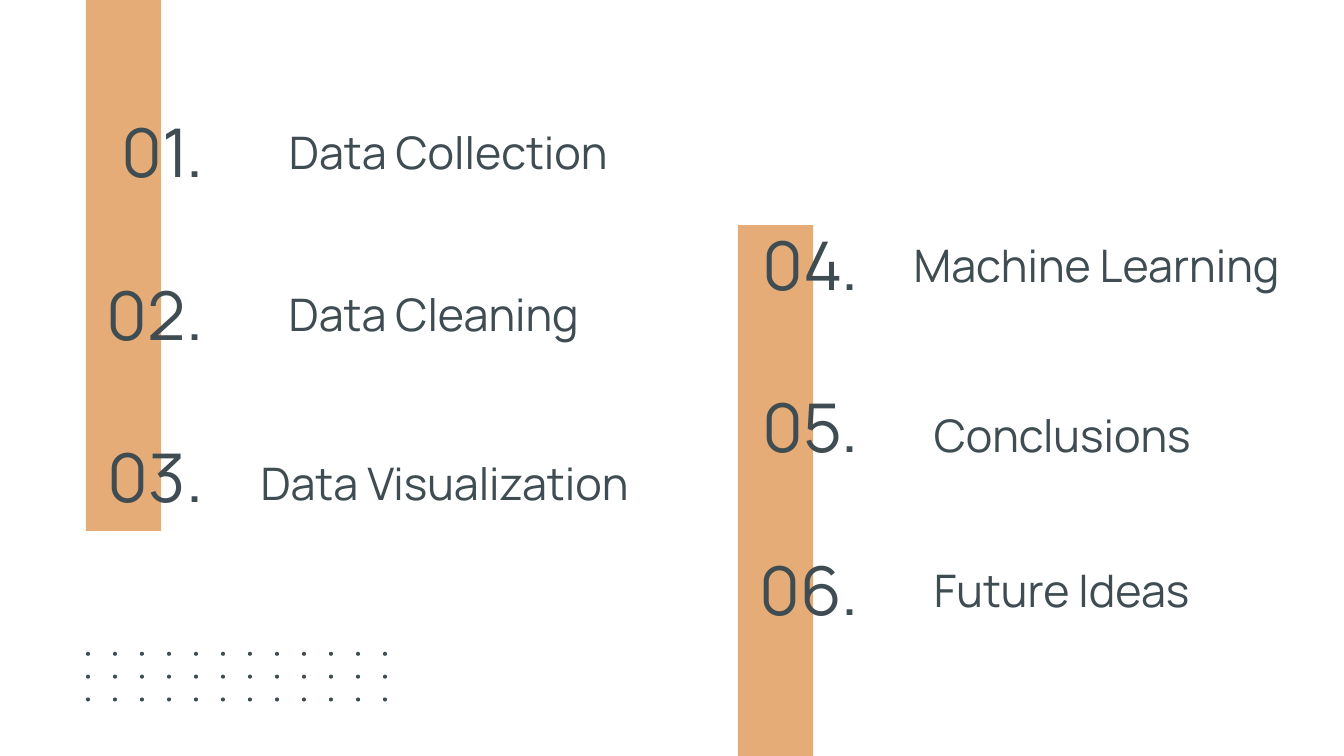
"""Build a six-item agenda slide with two accent bars and a dot grid."""
from dataclasses import dataclass
from itertools import product

from pptx import Presentation
from pptx.dml.color import RGBColor
from pptx.enum.shapes import MSO_SHAPE as Shape
from pptx.enum.text import MSO_ANCHOR as Anchor, MSO_AUTO_SIZE as AutoSize, PP_ALIGN as Align
from pptx.util import Inches, Pt

COLORS = {"bar": "E5AC77", "ink": "3F4D53"}
FONT = "Manrope"
SLIDE_W = 10
SLIDE_H = SLIDE_W * 9 / 16
BAR_W, BAR_H = 0.56, 3.95
NUMBER_W, NUMBER_H, NUMBER_STEP = 1.44, 0.59, 1.21
LABEL_H = 0.48
DOT_COLS, DOT_ROWS = 12, 3
DOT_LEFT, DOT_TOP, DOT_SIZE = 0.64, 4.85, 0.03
DOT_SPAN, DOT_STEP_Y = 2.21, 0.17


@dataclass
class Label:
    text: str
    left: float
    top: float
    width: float = 3.01


@dataclass
class Section:
    bar_left: float
    bar_top: float
    number_left: float
    number_top: float
    first: int
    labels: list[Label]


SECTIONS = [
    Section(0.64, 0, 0.17, 0.93, 1, [
        Label("Data Collection", 2.05, 0.83),
        Label("Data Cleaning", 2.05, 2.03),
        Label("Data Visualization", 1.84, 3.29, 3.42),
    ]),
    Section(5.49, SLIDE_H - BAR_H, 5.05, 1.77, 4, [
        Label("Machine Learning", 6.7, 1.67, 3.3),
        Label("Conclusions", 6.85, 2.93),
        Label("Future Ideas", 6.85, 4.09),
    ]),
]


def add_solid(shapes, kind: Shape, left: float, top: float,
              width: float, height: float, color: str):
    sp = shapes.add_shape(kind, Inches(left), Inches(top), Inches(width), Inches(height))
    sp.shadow.inherit = False
    sp.fill.solid()
    sp.fill.fore_color.rgb = RGBColor.from_string(COLORS[color])
    sp.line.fill.background()
    return sp


def write(sp, text: str, *, size: int, align: Align = Align.LEFT,
          anchor: Anchor = Anchor.TOP) -> None:
    tf = sp.text_frame
    tf.word_wrap = True
    tf.auto_size = AutoSize.NONE
    tf.vertical_anchor = anchor
    tf.margin_left = tf.margin_right = tf.margin_top = tf.margin_bottom = Inches(0.1)
    p = tf.paragraphs[0]
    p.alignment = align
    r = p.add_run()
    r.text = text
    r.font.name = FONT
    r.font.size = Pt(size)
    r.font.color.rgb = RGBColor.from_string(COLORS["ink"])


def add_label(slide, label: Label, is_title: bool) -> None:
    box = [Inches(v) for v in (label.left, label.top, label.width, LABEL_H)]
    if is_title:
        sp = slide.shapes.title
        sp.left, sp.top, sp.width, sp.height = box
    else:
        sp = slide.shapes.add_textbox(*box)
    write(sp, label.text, size=24)


def add_section(slide, section: Section) -> None:
    add_solid(slide.shapes, Shape.RECTANGLE, section.bar_left, section.bar_top,
              BAR_W, BAR_H, "bar")
    for i, label in enumerate(section.labels):
        number = section.first + i
        top = section.number_top + i * NUMBER_STEP
        sp = slide.shapes.add_textbox(Inches(section.number_left), Inches(top),
                                      Inches(NUMBER_W), Inches(NUMBER_H))
        write(sp, f"{number:02}.", size=36, align=Align.RIGHT, anchor=Anchor.BOTTOM)
        add_label(slide, label, is_title=number == 1)


def add_dot_grid(slide) -> None:
    group = slide.shapes.add_group_shape()
    step_x = DOT_SPAN / (DOT_COLS - 1)
    for row, col in product(range(DOT_ROWS), range(DOT_COLS)):
        add_solid(group.shapes, Shape.OVAL, DOT_LEFT + col * step_x,
                  DOT_TOP + row * DOT_STEP_Y, DOT_SIZE, DOT_SIZE, "ink")


def main() -> None:
    prs = Presentation()
    prs.slide_width, prs.slide_height = Inches(SLIDE_W), Inches(SLIDE_H)
    slide = prs.slides.add_slide(prs.slide_layouts[5])
    for section in SECTIONS:
        add_section(slide, section)
    add_dot_grid(slide)
    prs.save("out.pptx")


if __name__ == "__main__":
    main()
